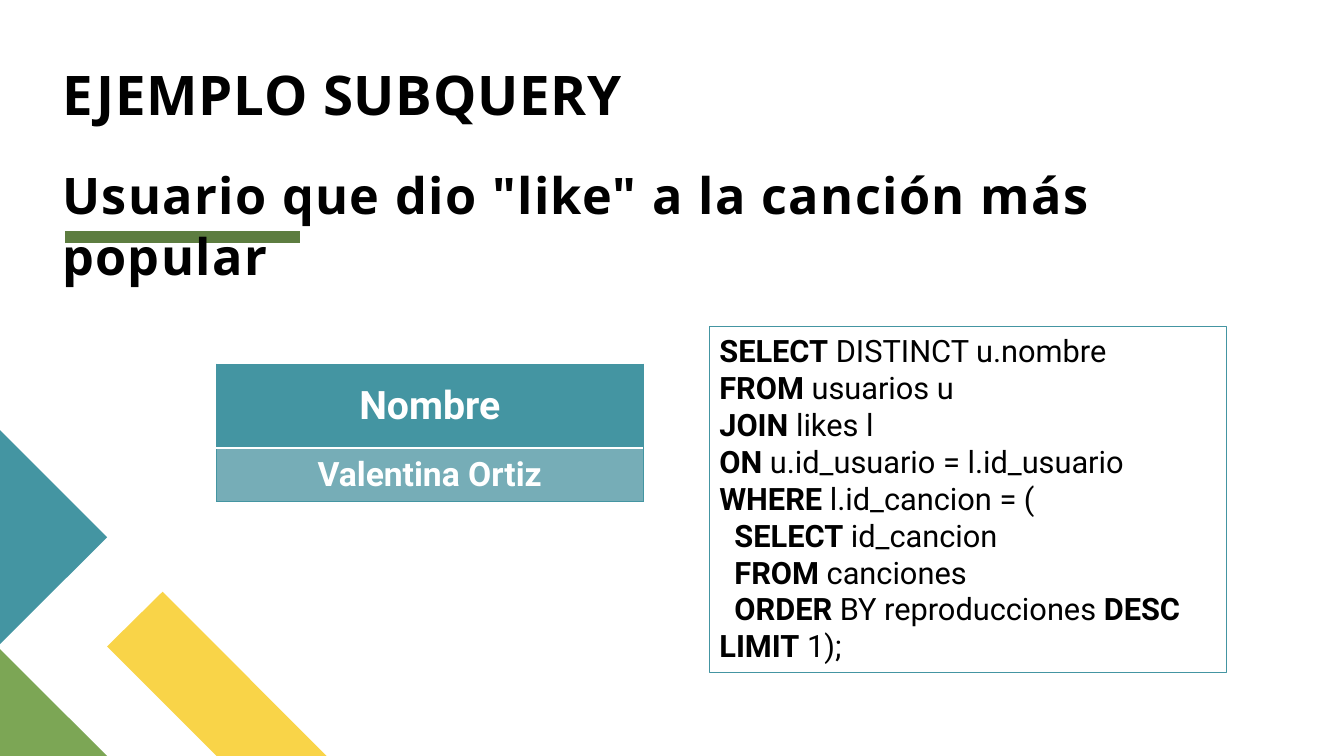
from lxml import etree
from pptx import Presentation
from pptx.dml.color import RGBColor
from pptx.enum.shapes import MSO_CONNECTOR, MSO_SHAPE
from pptx.enum.text import MSO_ANCHOR, PP_ALIGN
from pptx.oxml.ns import qn
from pptx.util import Cm, Pt

STRAIGHT = MSO_CONNECTOR.STRAIGHT
RECTANGLE = MSO_SHAPE.RECTANGLE
TOP, MIDDLE = MSO_ANCHOR.TOP, MSO_ANCHOR.MIDDLE
LEFT, CENTER = PP_ALIGN.LEFT, PP_ALIGN.CENTER

COLORS = {
    "teal": "4495A2",
    "light_teal": "76ADB7",
    "green": "7CA655",
    "dark_green": "5D7D40",
    "yellow": "F9D448",
    "black": "000000",
    "white": "FFFFFF",
}


def rgb(name):
    return RGBColor.from_string(COLORS[name])


def add_run(paragraph, text, color, **font_format):
    run = paragraph.add_run()
    run.text = text
    for attribute, value in font_format.items():
        setattr(run.font, attribute, value)
    run.font.color.rgb = rgb(color)
    return run


presentation = Presentation()
presentation.slide_width = Cm(33.87)
presentation.slide_height = Cm(19.05)
slide = presentation.slides.add_slide(presentation.slide_layouts[6])
shapes = slide.shapes

underline = shapes.add_connector(STRAIGHT, Cm(1.65), Cm(5.97), Cm(7.57), Cm(5.97))
underline.line.color.rgb = rgb("dark_green")
underline.line.width = Pt(8)
etree.SubElement(underline._element.spPr, qn("a:effectLst"))

corner_pieces = [
    ("yellow", [(8.23, 19.05), (5.46, 19.05), (2.7, 16.29), (4.1, 14.91)]),
    ("green", [(0, 16.36), (2.7, 19.05), (0, 19.05)]),
    ("teal", [(0, 10.84), (2.7, 13.54), (0, 16.23)]),
]
for color, corners in corner_pieces:
    start, *others = [(Cm(x), Cm(y)) for x, y in corners]
    outline = shapes.build_freeform(*start)
    outline.add_line_segments(others, close=True)
    piece = outline.convert_to_shape()
    piece.shadow.inherit = False
    piece.fill.solid()
    piece.fill.fore_color.rgb = rgb(color)
    piece.line.fill.background()

headings = [
    ("EJEMPLO SUBQUERY", 1.85, 18.85, 1.47, 39, 0.8, 50),
    ('Usuario que dio "like" a la canción más popular', 4.14, 31.3, 2.06, 36, 1.0, 100),
]
for text, top, width, height, size, line_spacing, tracking in headings:
    frame = shapes.add_textbox(Cm(1.57), Cm(top), Cm(width), Cm(height)).text_frame
    frame_format = {
        "word_wrap": True,
        "vertical_anchor": TOP,
        "margin_left": 0,
        "margin_top": 0,
        "margin_right": 0,
        "margin_bottom": 0,
    }
    for attribute, value in frame_format.items():
        setattr(frame, attribute, value)
    heading = frame.paragraphs[0]
    heading.line_spacing = line_spacing
    run = add_run(heading, text, "black", name="Open Sans", size=Pt(size), bold=True)
    run.font._element.set("spc", str(tracking))

query_box = shapes.add_shape(RECTANGLE, Cm(17.88), Cm(8.23), Cm(13.03), Cm(8.71))
query_box.shadow.inherit = False
query_box.fill.background()
query_box.line.color.rgb = rgb("teal")
query_box.line.width = Pt(0.75)
query_frame = query_box.text_frame
query_frame.word_wrap = True
query_frame.vertical_anchor = TOP

query_lines = [
    (0, [("SELECT", True), (" DISTINCT u.nombre", False)]),
    (0, [("FROM", True), (" usuarios u", False)]),
    (0, [("JOIN", True), (" likes l", False)]),
    (0, [("ON", True), (" u.id_usuario = l.id_usuario", False)]),
    (0, [("WHERE", True), (" l.id_cancion = (", False)]),
    (0.38, [("SELECT", True), (" id_cancion", False)]),
    (0.38, [("FROM", True), (" canciones", False)]),
    (0.38, [("ORDER", True), (" BY reproducciones ", False),
            ("DESC LIMIT", True), (" 1);", False)]),
]
for number, (indent, parts) in enumerate(query_lines):
    query_line = query_frame.add_paragraph() if number else query_frame.paragraphs[0]
    query_line.alignment = LEFT
    query_line._p.get_or_add_pPr().set("indent", str(Cm(indent)))
    for text, bold in parts:
        add_run(query_line, text, "black", name="Roboto", size=Pt(22), bold=bold)

result_rows = [
    ("Nombre", 28, 2.12, "teal", "white", 1),
    ("Valentina Ortiz", 24, 1.35, "light_teal", "teal", 0.5),
]
result = shapes.add_table(len(result_rows), 1, Cm(5.46), Cm(9.17), Cm(10.74), Cm(3.47)).table
for number, (text, size, height, fill, bottom, bottom_width) in enumerate(result_rows):
    result.rows[number].height = Cm(height)
    cell = result.cell(number, 0)
    cell_format = {
        "vertical_anchor": MIDDLE,
        "margin_left": Cm(0.03),
        "margin_top": Cm(0.03),
        "margin_right": Cm(0.03),
        "margin_bottom": 0,
    }
    for attribute, value in cell_format.items():
        setattr(cell, attribute, value)
    content = cell.text_frame.paragraphs[0]
    content.alignment = CENTER
    add_run(content, text, "white", name="Roboto", size=Pt(size), bold=True)

    top_edge = ("white", 1) if number else ("teal", 0.5)
    edges = {
        "a:lnL": ("teal", 0.5),
        "a:lnR": ("teal", 0.5),
        "a:lnT": top_edge,
        "a:lnB": (bottom, bottom_width),
    }
    properties = cell._tc.get_or_add_tcPr()
    for tag, (color, width) in edges.items():
        edge = etree.SubElement(properties, qn(tag), w=str(Pt(width)))
        edge_fill = etree.SubElement(edge, qn("a:solidFill"))
        etree.SubElement(edge_fill, qn("a:srgbClr"), val=COLORS[color])
    cell.fill.solid()
    cell.fill.fore_color.rgb = rgb(fill)

presentation.save("out.pptx")
